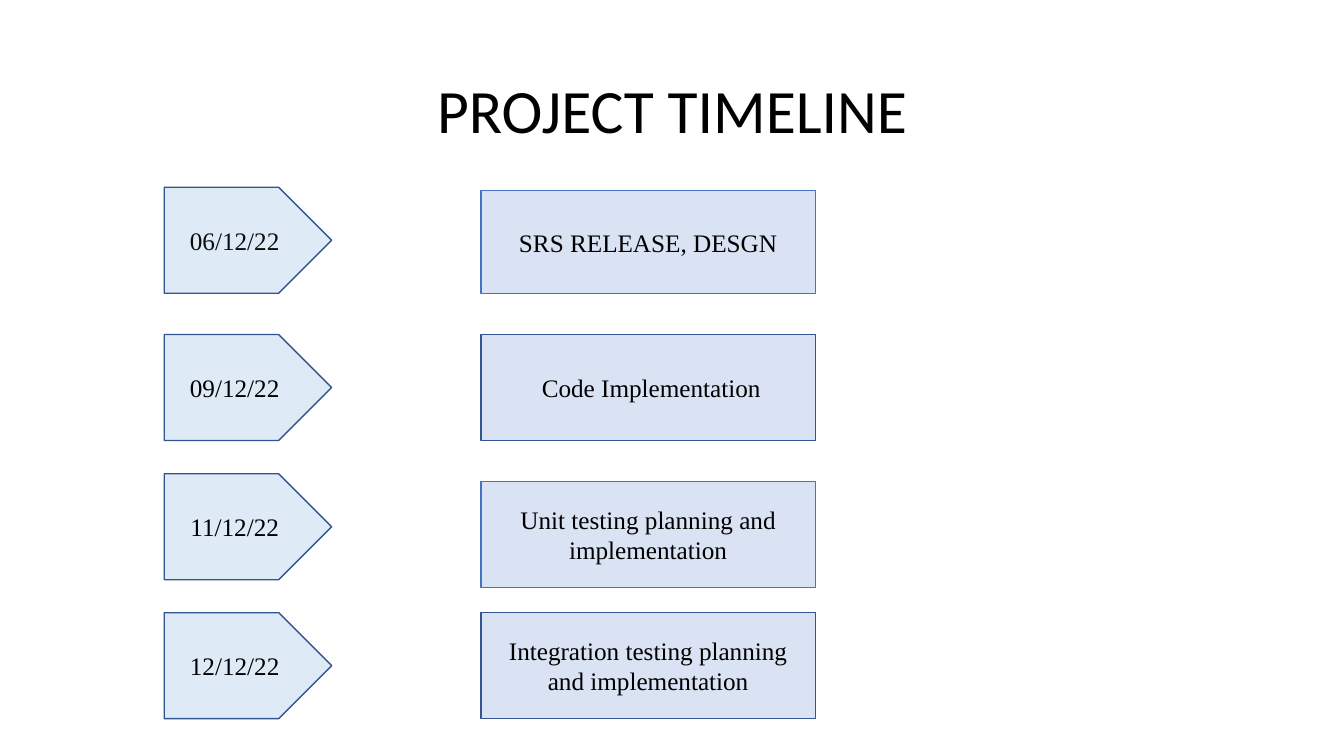
import pptx
import pptx.util
import pptx.dml.color
import pptx.enum.shapes
import pptx.enum.text

Cm = pptx.util.Cm
SHAPES = pptx.enum.shapes.MSO_SHAPE


def color(hex_string):
    return pptx.dml.color.RGBColor.from_string(hex_string)


def write_text(shape, text, font="Times New Roman", size=18, ink="000000", spacing=1.0):
    frame = shape.text_frame
    frame.word_wrap = True
    frame.vertical_anchor = pptx.enum.text.MSO_ANCHOR.MIDDLE
    para = frame.paragraphs[0]
    para.alignment = pptx.enum.text.PP_ALIGN.CENTER
    para.line_spacing = spacing
    span = para.add_run()
    span.text = text
    span.font.name = font
    span.font.size = pptx.util.Pt(size)
    span.font.color.rgb = color(ink)


# Deck and page
deck = pptx.Presentation()
deck.slide_width, deck.slide_height = Cm(33.87), Cm(19.05)
page = deck.slides.add_slide(deck.slide_layouts[5])

# Title
title = page.shapes.title
title.left, title.top, title.width, title.height = Cm(2.34), Cm(1.02), Cm(29.21), Cm(3.68)
write_text(title, "PROJECT TIMELINE", font="Calibri", size=44, spacing=0.9)

# Milestones: date, its ink and top, then task, its top, height and outline
milestones = [
    ("06/12/22", "0D0D0D", 4.72, "SRS RELEASE, DESGN", 4.8, 2.6, "4472C4"),
    ("09/12/22", "000000", 8.43, " Code Implementation", 8.43, 2.67, "325491"),
    ("11/12/22", "000000", 11.94, "Unit testing planning and implementation", 12.14, 2.67, "4472C4"),
    ("12/12/22", "000000", 15.44, "Integration testing planning and implementation", 15.44, 2.67, "325491"),
]

# Each row: a date arrow on the left and a task box on the right
for date, date_ink, date_top, task, task_top, task_height, task_line in milestones:
    row = [
        (SHAPES.PENTAGON, 4.14, date_top, 4.22, 2.67, "DEEBF7", "325491", date, date_ink),
        (SHAPES.RECTANGLE, 12.12, task_top, 8.43, task_height, "DAE3F3", task_line, task, "000000"),
    ]
    for kind, left, top, width, height, fill, line, text, ink in row:
        box = page.shapes.add_shape(kind, Cm(left), Cm(top), Cm(width), Cm(height))
        box.shadow.inherit = False
        box.fill.solid()
        box.fill.fore_color.rgb = color(fill)
        box.line.color.rgb = color(line)
        box.line.width = pptx.util.Pt(1)
        write_text(box, text, ink=ink)

deck.save("out.pptx")
